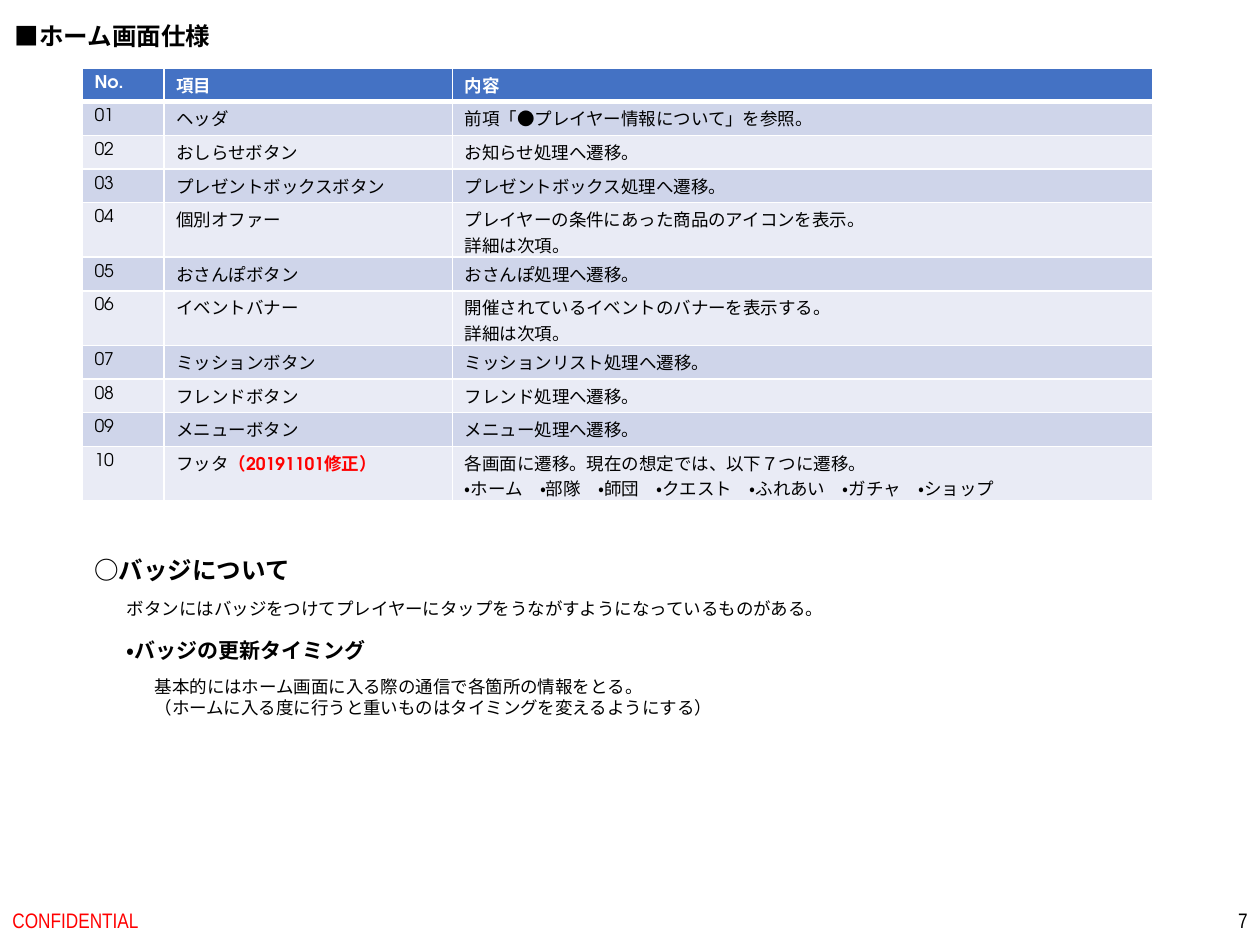
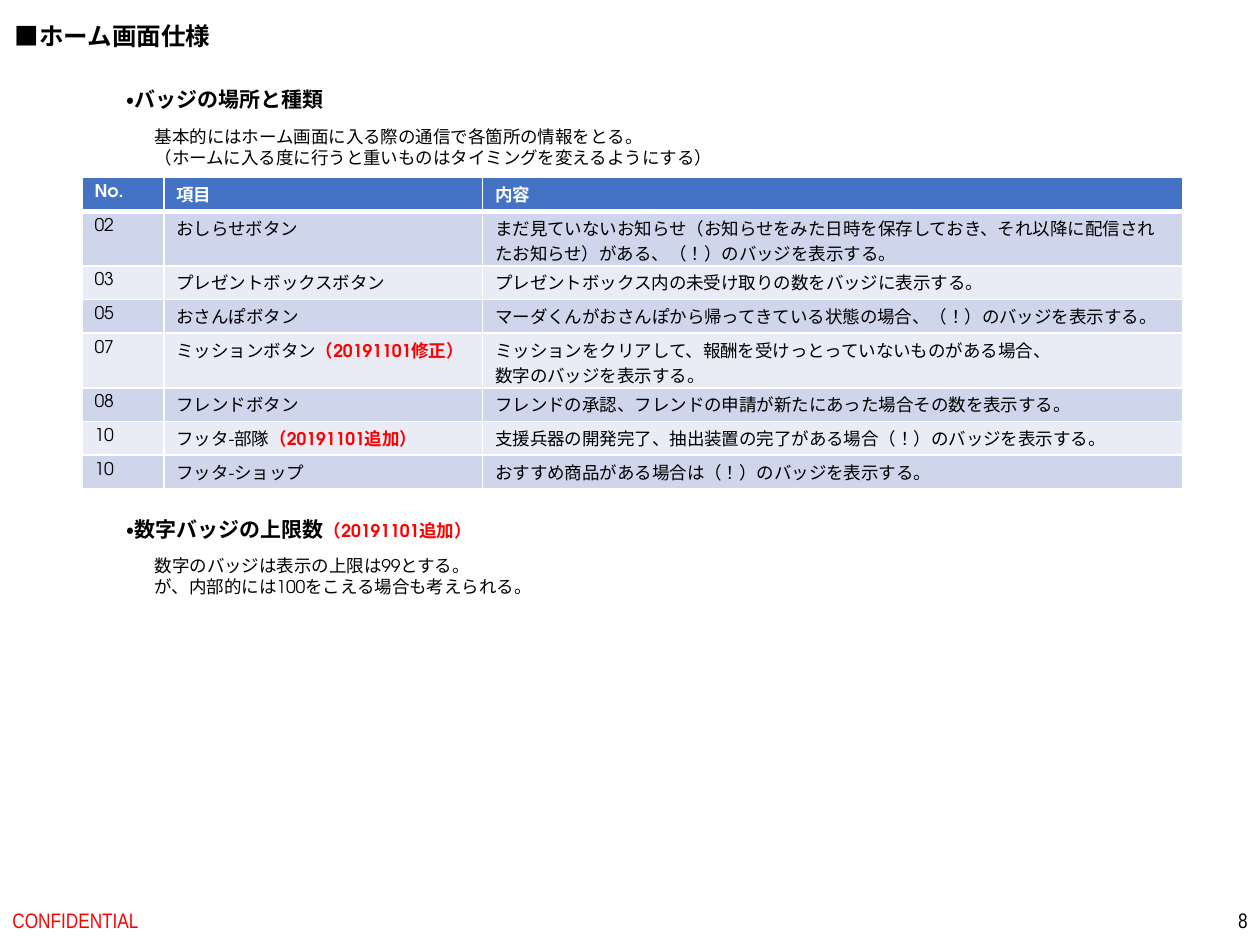
from lxml import etree
from pptx import Presentation
from pptx.dml.color import RGBColor
from pptx.enum.lang import MSO_LANGUAGE_ID
from pptx.enum.text import MSO_ANCHOR, MSO_AUTO_SIZE, PP_ALIGN
from pptx.oxml.ns import qn
from pptx.util import Inches, Pt

JAPANESE = MSO_LANGUAGE_ID.JAPANESE
MIDDLE = MSO_ANCHOR.MIDDLE
GROW = MSO_AUTO_SIZE.SHAPE_TO_FIT_TEXT
LEFT, RIGHT = PP_ALIGN.LEFT, PP_ALIGN.RIGHT

COLUMNS, ROWS = 100, 75
CELL = Inches(10) // COLUMNS
BODY_FONT = "TeX Gyre Adventor"
BLACK, WHITE, RED = "000000", "FFFFFF", "FF0000"
HEADER_FILL, BAND_FILLS = "4472C4", ("CFD5EA", "E9EBF5")

BODY = {"name": BODY_FONT, "size": 10, "color": BLACK, "bold": False,
        "language_id": JAPANESE}
HEADING = {**BODY, "size": 14, "bold": True}
SUBHEADING = {**HEADING, "size": 12}
TITLE = {**HEADING, "name": "Arial"}
HEADER = {**BODY, "color": WHITE, "bold": True}
REVISION = {"size": 10, "color": RED, "bold": True}
FOOTER = {**BODY, "name": "Arial Narrow", "size": 12}

LINE_RATIO = 1.2
CELL_LEADING = 14.5
SINGLE_ROW, DOUBLE_ROW = 2.67, 4.33
TABLE_LEFT = 6.5
SUBHEADING_LEFT, SUBHEADING_WIDTH, SUBHEADING_HEIGHT = 9.1, 40, 3
NOTE_INDENT, NOTE_DROP, NOTE_WIDTH, NOTE_HEIGHT = 2.2, 3.1, 50, 4.4

PAGE_TITLE = "■ホーム画面仕様"
LABELS = ("No.", "項目", "内容")
FIXED, ADDED = "（20191101修正）", "（20191101追加）"
UPDATE_NOTE = ("基本的にはホーム画面に入る際の通信で各箇所の情報をとる。\n"
               "（ホームに入る度に行うと重いものはタイミングを変えるようにする）")
SCREEN_ITEMS = [
    ("01", "ヘッダ", "前項「●プレイヤー情報について」を参照。"),
    ("02", "おしらせボタン", "お知らせ処理へ遷移。"),
    ("03", "プレゼントボックスボタン", "プレゼントボックス処理へ遷移。"),
    ("04", "個別オファー", "プレイヤーの条件にあった商品のアイコンを表示。\n詳細は次項。"),
    ("05", "おさんぽボタン", "おさんぽ処理へ遷移。"),
    ("06", "イベントバナー", "開催されているイベントのバナーを表示する。\n詳細は次項。"),
    ("07", "ミッションボタン", "ミッションリスト処理へ遷移。"),
    ("08", "フレンドボタン", "フレンド処理へ遷移。"),
    ("09", "メニューボタン", "メニュー処理へ遷移。"),
    ("10", ("フッタ", FIXED),
     "各画面に遷移。現在の想定では、以下７つに遷移。\n"
     "・ホーム　・部隊　・師団　・クエスト　・ふれあい　・ガチャ　・ショップ"),
]
BADGE_ITEMS = [
    ("02", "おしらせボタン",
     "まだ見ていないお知らせ（お知らせをみた日時を保存しておき、それ以降に配信され"
     "たお知らせ）がある、（！）のバッジを表示する。"),
    ("03", "プレゼントボックスボタン", "プレゼントボックス内の未受け取りの数をバッジに表示する。"),
    ("05", "おさんぽボタン",
     "マーダくんがおさんぽから帰ってきている状態の場合、（！）のバッジを表示する。"),
    ("07", ("ミッションボタン", FIXED),
     "ミッションをクリアして、報酬を受けっとっていないものがある場合、\n"
     "数字のバッジを表示する。"),
    ("08", "フレンドボタン", "フレンドの承認、フレンドの申請が新たにあった場合その数を表示する。"),
    ("10", ("フッタ-部隊", ADDED),
     "支援兵器の開発完了、抽出装置の完了がある場合（！）のバッジを表示する。"),
    ("10", "フッタ-ショップ", "おすすめ商品がある場合は（！）のバッジを表示する。"),
]


def rgb(value):
    """Turn a hex string into a colour."""
    return RGBColor.from_string(value)


def grid(units):
    """Turn grid units into a length."""
    return round(units * CELL)


def add_span(para, text, style):
    """Add one formatted run."""
    span = para.add_run()
    span.text = text
    values = {**style, "size": Pt(style["size"])}
    span.font.color.rgb = rgb(values.pop("color"))
    for name, value in values.items():
        setattr(span.font, name, value)


def write(frame, text, style, leading=None, align=LEFT):
    """Write lines of text; a pair holds a text and its red revision mark."""
    text, revision = (text, "") if isinstance(text, str) else text
    for index, line in enumerate(text.split("\n")):
        para = frame.add_paragraph() if index else frame.paragraphs[0]
        para.alignment = align
        para.line_spacing = Pt(leading or style["size"] * LINE_RATIO)
        add_span(para, line, style)
    if revision:
        add_span(para, revision, {**style, **REVISION})


def add_text(page, box, text, style, align=LEFT, **frame_format):
    """Place a text box given in grid units."""
    frame = page.shapes.add_textbox(*map(grid, box)).text_frame
    settings = {"word_wrap": True, "auto_size": GROW, **frame_format}
    for name, value in settings.items():
        setattr(frame, name, value)
    write(frame, text, style, align=align)


def make_border(side, points):
    """Make one white border line for a table cell."""
    line = etree.Element(qn(f"a:ln{side}"), w=str(Pt(points)))
    fill = etree.SubElement(line, qn("a:solidFill"))
    etree.SubElement(fill, qn("a:srgbClr"), val=WHITE)
    return line


def format_cell(cell, fill, bottom, top_margin):
    """Give a cell its margins, borders and fill."""
    margins = {"margin_left": 1, "margin_right": 1,
               "margin_top": top_margin, "margin_bottom": 0}
    for name, value in margins.items():
        setattr(cell, name, grid(value))
    properties = cell._tc.get_or_add_tcPr()
    for side, points in (("L", 1), ("R", 1), ("T", 1), ("B", bottom)):
        properties.append(make_border(side, points))
    cell.fill.solid()
    cell.fill.fore_color.rgb = rgb(fill)


def add_items_table(page, top, widths, items, double_rows):
    """Place a banded item table; double_rows lists the numbers of tall rows."""
    records = [LABELS, *items]
    heights = [DOUBLE_ROW if record[0] in double_rows else SINGLE_ROW for record in records]
    box = (TABLE_LEFT, top, sum(widths), sum(heights))
    table = page.shapes.add_table(len(records), len(widths), *map(grid, box)).table
    for column, width in zip(table.columns, widths):
        column.width = grid(width)
    for row_index, (row, height, record) in enumerate(zip(table.rows, heights, records)):
        row.height = grid(height)
        is_header = row_index == 0
        style = HEADER if is_header else BODY
        fill = HEADER_FILL if is_header else BAND_FILLS[(row_index - 1) % 2]
        for column_index, (cell, text) in enumerate(zip(row.cells, record)):
            is_number = column_index == 0
            format_cell(cell, fill, 3 if is_header else 1, 0.2 if is_number else 0.3)
            write(cell.text_frame, text, style, None if is_number else CELL_LEADING)


def add_note(page, top, heading, note):
    """Place a subheading with its indented note below."""
    add_text(page, (SUBHEADING_LEFT, top, SUBHEADING_WIDTH, SUBHEADING_HEIGHT),
             heading, SUBHEADING)
    add_text(page, (SUBHEADING_LEFT + NOTE_INDENT, top + NOTE_DROP, NOTE_WIDTH, NOTE_HEIGHT),
             note, BODY)


def add_page(deck, number):
    """Add a blank page with the shared title and footer."""
    page = deck.slides.add_slide(deck.slide_layouts[6])
    fixed = {"auto_size": None, "vertical_anchor": MIDDLE}
    add_text(page, (0, ROWS - 4, 33.8, 4), "CONFIDENTIAL", {**FOOTER, "color": RED}, **fixed)
    add_text(page, (COLUMNS - 22.5, ROWS - 4, 22.5, 4), str(number), FOOTER, RIGHT, **fixed)
    add_text(page, (0.2, 1.2, 25, 3.4), PAGE_TITLE, TITLE)
    return page


def add_screen_page(deck):
    """Add the page on the screen items and badge timing."""
    page = add_page(deck, 7)
    add_items_table(page, 5.4, (6.5, 22.9, 55.6), SCREEN_ITEMS, ("04", "06", "10"))
    add_text(page, (TABLE_LEFT, 43.6, 25, 3.4), "○バッジについて", HEADING)
    add_text(page, (SUBHEADING_LEFT, 47, 65, 2.7),
             "ボタンにはバッジをつけてプレイヤーにタップをうながすようになっているものがある。", BODY)
    add_note(page, 50.1, "・バッジの更新タイミング", UPDATE_NOTE)


def add_badge_page(deck):
    """Add the page on badge places, kinds and limits."""
    page = add_page(deck, 8)
    add_note(page, 6.4, "・バッジの場所と種類", UPDATE_NOTE)
    add_items_table(page, 14.1, (6.5, 25.3, 55.6), BADGE_ITEMS, ("02", "07"))
    add_note(page, 40.5, ("・数字バッジの上限数", ADDED),
             "数字のバッジは表示の上限は99とする。\nが、内部的には100をこえる場合も考えられる。")


def main():
    """Build and save the deck."""
    deck = Presentation()
    deck.slide_width, deck.slide_height = grid(COLUMNS), grid(ROWS)
    add_screen_page(deck)
    add_badge_page(deck)
    deck.save("out.pptx")


if __name__ == "__main__":
    main()
